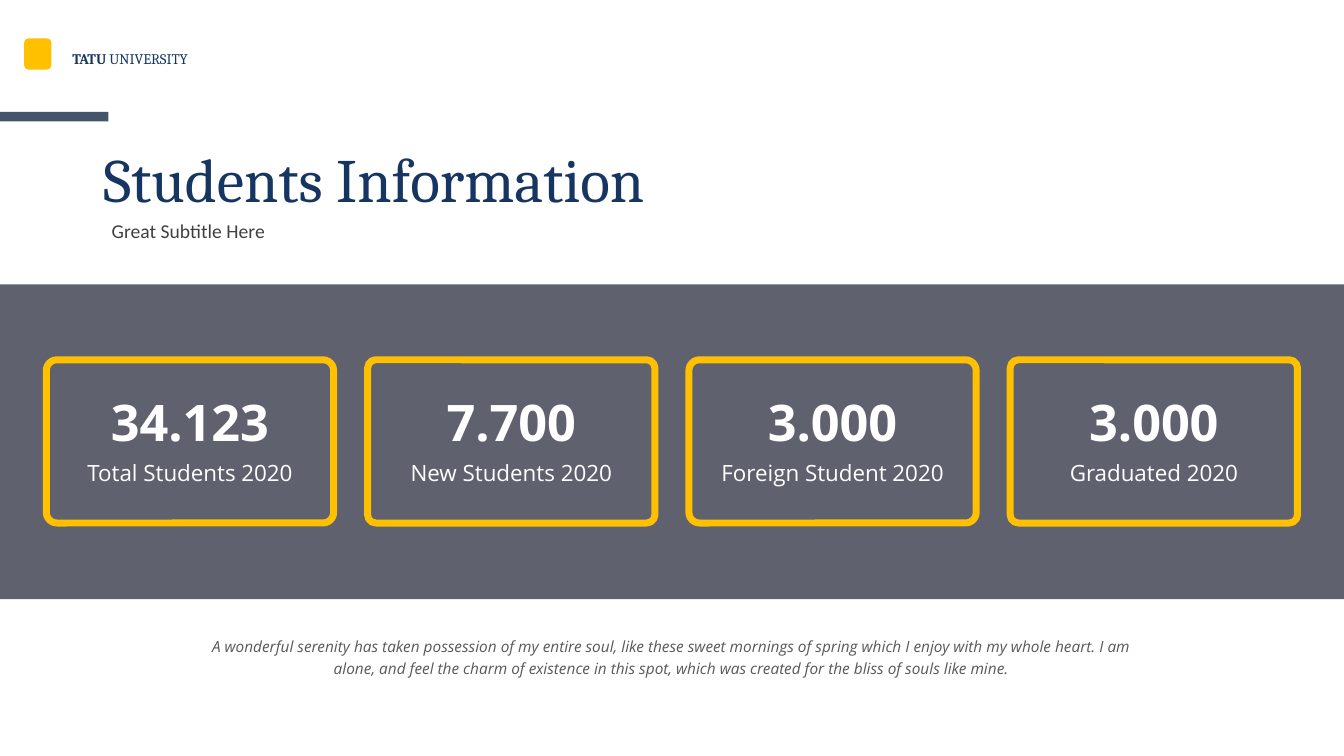
from lxml.etree import SubElement
from pptx import Presentation
from pptx.dml.color import RGBColor
from pptx.enum.shapes import MSO_SHAPE
from pptx.enum.text import MSO_ANCHOR, PP_ALIGN
from pptx.oxml.ns import qn
from pptx.util import Pt

NAVY = RGBColor(0x16, 0x35, 0x61)
INK = RGBColor(0x1C, 0x1F, 0x33)
SLATE = RGBColor(0x44, 0x54, 0x6A)
GOLD = RGBColor(0xFF, 0xC0, 0x00)
WHITE = RGBColor(0xFF, 0xFF, 0xFF)
DARK_GREY = RGBColor(0x40, 0x40, 0x40)
MID_GREY = RGBColor(0x59, 0x59, 0x59)

presentation = Presentation()
presentation.slide_width = Pt(960)
presentation.slide_height = Pt(540)
slide = presentation.slides.add_slide(presentation.slide_layouts[6])


def add_block(kind, left, top, width, height, fill=None):
    """Add a shape without outline or shadow; no fill colour leaves it hollow."""
    block = slide.shapes.add_shape(kind, Pt(left), Pt(top), Pt(width), Pt(height))
    block.shadow.inherit = False
    block.line.fill.background()
    if fill is None:
        block.fill.background()
    else:
        block.fill.solid()
        block.fill.fore_color.rgb = fill
    return block


def add_text(words, left, top, width, height, font, size, color,
             align=PP_ALIGN.LEFT, anchor=MSO_ANCHOR.TOP):
    """Add a one-paragraph text box and return its text frame."""
    frame = slide.shapes.add_textbox(Pt(left), Pt(top), Pt(width), Pt(height)).text_frame
    frame.word_wrap = True
    frame.vertical_anchor = anchor
    frame.text = words
    paragraph = frame.paragraphs[0]
    paragraph.alignment = align
    paragraph.font.name = font
    paragraph.font.size = Pt(size)
    paragraph.font.color.rgb = color
    return frame


# Header
band = add_block(MSO_SHAPE.RECTANGLE, 0, 203.2, 960, 224.8, INK)
band_color = band.fill._xPr.find(qn("a:solidFill"))[0]
SubElement(band_color, qn("a:alpha"), val="70000")

add_text("Students Information", 66.8, 86.4, 525.6, 81.4, "Cambria", 44, NAVY,
         anchor=MSO_ANCHOR.MIDDLE)
add_block(MSO_SHAPE.RECTANGLE, 0, 80, 77.5, 6.8, SLATE)
add_block(MSO_SHAPE.ROUNDED_RECTANGLE, 17.3, 27.4, 19.4, 22.3, GOLD)

university = add_text("TATU ", 44.6, 31.7, 108.7, 20.2, "Cambria", 10.5, NAVY)
university.paragraphs[0].runs[0].font.bold = True
university.paragraphs[0].add_run().text = "UNIVERSITY"

add_text("Great Subtitle Here", 72.7, 152.6, 260.6, 24.5, "Calibri", 14, DARK_GREY)

# Key figures
CARD_LEFT, CARD_TOP, CARD_WIDTH, CARD_HEIGHT = 33.1, 257, 205.2, 116.6
CARD_PITCH = 229.5
TEXT_INSET, TEXT_WIDTH = 7.6, 190
figures = [
    ("34.123", "Total Students 2020", 0.065),
    ("7.700", "New Students 2020", 0.05),
    ("3.000", "Foreign Student 2020", 0.065),
    ("3.000", "Graduated 2020", 0.05),
]
for index, (count, label, rounding) in enumerate(figures):
    left = CARD_LEFT + index * CARD_PITCH
    card = add_block(MSO_SHAPE.ROUNDED_RECTANGLE, left, CARD_TOP, CARD_WIDTH, CARD_HEIGHT)
    card.adjustments[0] = rounding
    card.line.color.rgb = GOLD
    card.line.width = Pt(5)
    for words, top, height, size in ((count, 280, 46.8, 36), (label, 326.8, 24.5, 16)):
        frame = add_text(words, left + TEXT_INSET, top, TEXT_WIDTH, height, "Open Sans",
                         size, WHITE, PP_ALIGN.CENTER, MSO_ANCHOR.MIDDLE)
        frame.margin_top = frame.margin_bottom = Pt(0)
        frame.paragraphs[0].line_spacing = 0.9
        frame.paragraphs[0].font.bold = words == count

# Closing quote
quote = add_text(
    "A wonderful serenity has taken possession of my entire soul, like these sweet "
    "mornings of spring which I enjoy with my whole heart. I am alone, and feel the "
    "charm of existence in this spot, which was created for the bliss of souls like mine.",
    139, 448.6, 681.8, 38.2, "Open Sans", 11, MID_GREY, PP_ALIGN.CENTER)
quote.paragraphs[0].line_spacing = 1.2
quote.paragraphs[0].font.italic = True

presentation.save("out.pptx")
